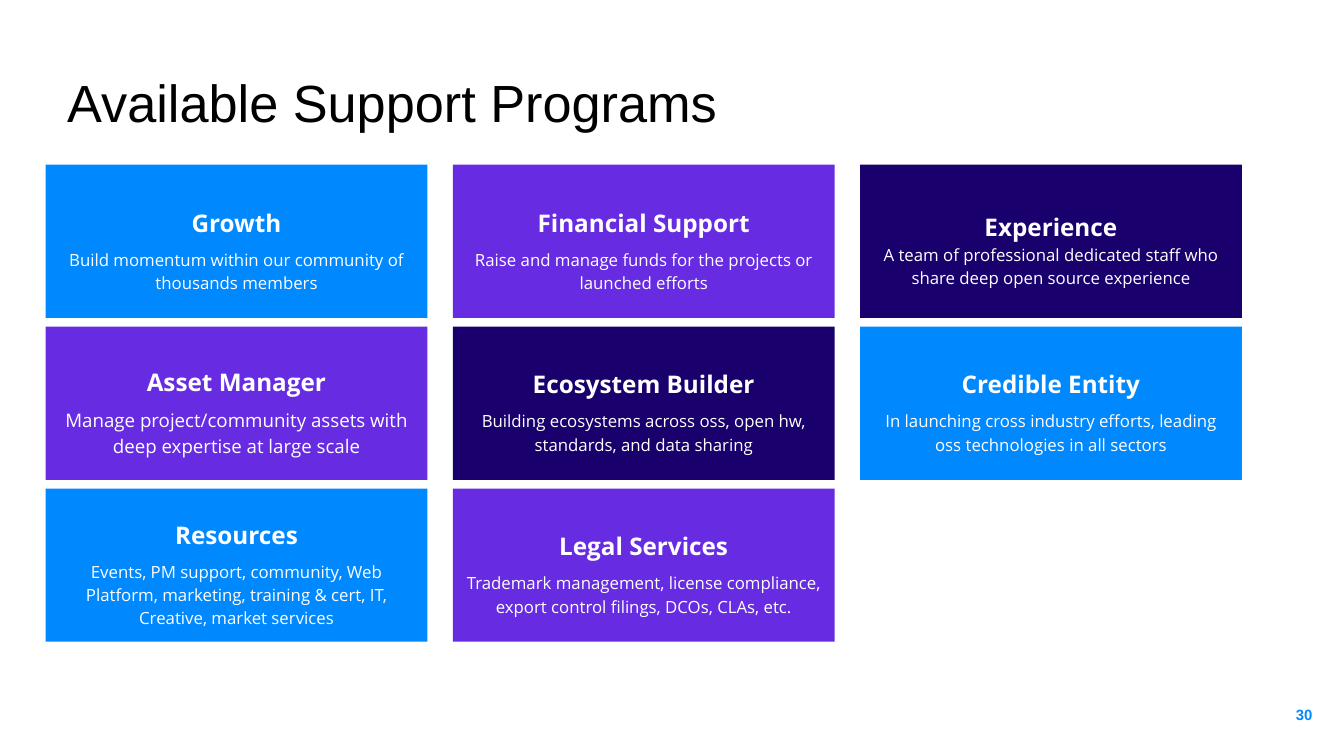
"""Build the slide of available support programs."""
from dataclasses import dataclass

from pptx import Presentation, util as u
from pptx.dml.color import RGBColor
from pptx.enum import shapes, text

TITLE = "Available Support Programs"
PAGE_NUMBER = "30"
PROGRAMS = [
    ("Growth", "Build momentum within the our community of thousands members".replace("the our", "our"), "blue", {}),
    ("Financial Support", "Raise and manage funds for the projects or launched efforts", "purple", {}),
    ("Experience", "A team of professional dedicated staff who share deep open source experience",
     "navy", {"before": 0, "after": 10}),
    ("Asset Manager", "Manage project/community assets with deep expertise at large scale",
     "purple", {"size": 20}),
    ("Ecosystem Builder", "Building ecosystems across oss, open hw, standards, and data sharing", "navy", {}),
    ("Credible Entity", "In launching cross industry efforts, leading oss technologies in all sectors", "blue", {}),
    ("Resources", "Events, PM support, community, Web Platform, marketing, training & cert, IT, "
     "Creative, market services", "blue", {}),
    ("Legal Services", "Trademark management, license compliance, export control filings, DCOs, CLAs, etc.",
     "purple", {}),
]

COLUMNS = 3
LEFT, TOP = 0.68, 2.45
CARD_WIDTH, CARD_HEIGHT = 5.68, 2.28
COLUMN_GAP, ROW_GAP = 0.38, 0.13


@dataclass(frozen=True)
class Theme:
    """Colours, fonts and type sizes."""
    blue: str = "0088FF"
    purple: str = "672CE2"
    navy: str = "19006D"
    white: str = "FFFFFF"
    black: str = "000000"
    plain_font: str = "Arial"
    card_font: str = "Open Sans"
    title: int = 56
    heading: int = 26
    body: int = 18
    page: int = 16


THEME = Theme()


def write(para, words, *, size, font, color, bold=False, align=text.PP_ALIGN.LEFT,
          spacing=1.0, before=0, after=0):
    """Put formatted words into a paragraph."""
    para.alignment = align
    para.line_spacing = spacing
    para.space_before, para.space_after = u.Pt(before), u.Pt(after)
    span = para.add_run()
    span.text = words
    span.font.size, span.font.name, span.font.bold = u.Pt(size), font, bold
    span.font.color.rgb = RGBColor.from_string(color)


def set_frame(frame, anchor, left, top, right, bottom):
    """Set wrapping, anchor and insets of a text frame."""
    frame.word_wrap = True
    frame.auto_size = text.MSO_AUTO_SIZE.NONE
    frame.vertical_anchor = anchor
    frame.margin_left, frame.margin_top = u.Inches(left), u.Inches(top)
    frame.margin_right, frame.margin_bottom = u.Inches(right), u.Inches(bottom)


def add_title(page):
    """Place and format the title placeholder."""
    title = page.shapes.title
    title.left, title.top = u.Inches(1), u.Inches(0.97)
    title.width, title.height = u.Inches(18.64), u.Inches(1.25)
    set_frame(title.text_frame, text.MSO_ANCHOR.TOP, 0, 0.08, 0, 0)
    write(title.text_frame.paragraphs[0], TITLE, size=THEME.title,
          font=THEME.plain_font, color=THEME.black)


def add_card(page, index, heading, body, fill, body_format):
    """Add one program card at its place in the grid."""
    row, column = divmod(index, COLUMNS)
    card = page.shapes.add_shape(
        shapes.MSO_SHAPE.RECTANGLE,
        u.Inches(LEFT + column * (CARD_WIDTH + COLUMN_GAP)),
        u.Inches(TOP + row * (CARD_HEIGHT + ROW_GAP)),
        u.Inches(CARD_WIDTH), u.Inches(CARD_HEIGHT))
    card.shadow.inherit = False
    card.fill.solid()
    card.fill.fore_color.rgb = RGBColor.from_string(getattr(THEME, fill))
    card.line.fill.background()
    frame = card.text_frame
    set_frame(frame, text.MSO_ANCHOR.MIDDLE, 0.2, 0.4, 0.2, 0.2)
    shared = {"font": THEME.card_font, "color": THEME.white,
              "align": text.PP_ALIGN.CENTER, "spacing": 1.15}
    write(frame.paragraphs[0], heading, size=THEME.heading, bold=True, **shared)
    write(frame.add_paragraph(), body,
          **{"size": THEME.body, "before": 10, **shared, **body_format})


def add_page_number(page):
    """Add the page number at the lower right."""
    box = page.shapes.add_textbox(u.Inches(18.53), u.Inches(10.2), u.Inches(1.2), u.Inches(0.86))
    set_frame(box.text_frame, text.MSO_ANCHOR.MIDDLE, 0.2, 0.2, 0.2, 0.2)
    write(box.text_frame.paragraphs[0], PAGE_NUMBER, size=THEME.page, font=THEME.plain_font,
          color=THEME.blue, bold=True, align=text.PP_ALIGN.RIGHT)


def main():
    """Build and save the deck."""
    deck = Presentation()
    deck.slide_width, deck.slide_height = u.Inches(20), u.Inches(11.25)
    page = deck.slides.add_slide(deck.slide_layouts[5])
    add_title(page)
    for index, program in enumerate(PROGRAMS):
        add_card(page, index, *program)
    add_page_number(page)
    deck.save("out.pptx")


if __name__ == "__main__":
    main()
